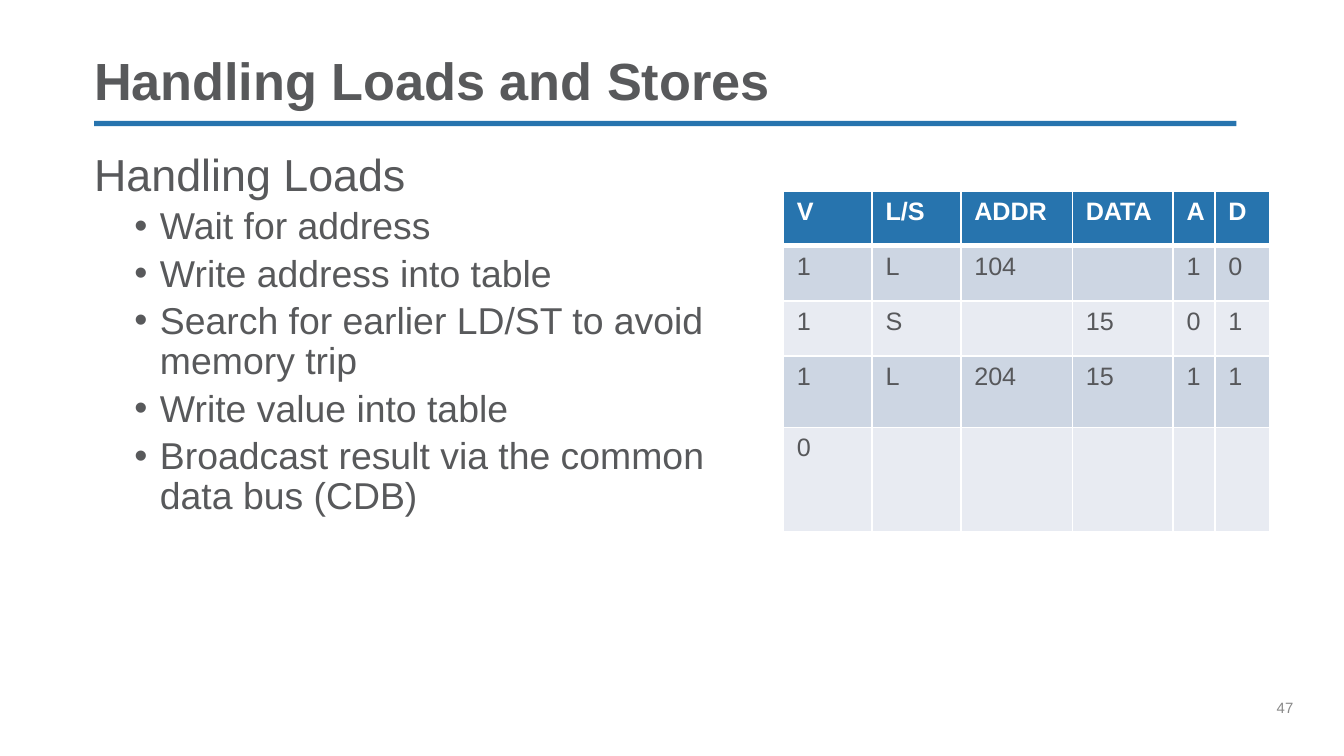
from lxml.etree import SubElement
from pptx import Presentation
from pptx.dml.color import RGBColor
from pptx.enum.shapes import MSO_SHAPE
from pptx.enum.text import MSO_ANCHOR, MSO_AUTO_SIZE, PP_ALIGN
from pptx.oxml.ns import qn
from pptx.util import Inches, Pt

COLORS = {
    "accent": "2774AE", "text": "58595B", "cell_text": "57585B", "number": "898989",
    "white": "FFFFFF", "band_dark": "CDD6E3", "band_light": "E8EBF2",
}


def color(name):
    return RGBColor.from_string(COLORS[name])


def format_text(target, size, color_name, bold=False):
    """Apply one look to the font of a paragraph."""
    looks = {"name": "Arial", "size": Pt(size), "bold": bold}
    for attribute, value in looks.items():
        setattr(target.font, attribute, value)
    target.font.color.rgb = color(color_name)


# Widescreen, 16:9
prs = Presentation()
prs.slide_width = Inches(10)
prs.slide_height = Inches(10) * 9 // 16
slide = prs.slides.add_slide(prs.slide_layouts[1])

# Title rule and page number
rule = slide.shapes.add_shape(
    MSO_SHAPE.RECTANGLE, Inches(0.7), Inches(0.9), Inches(8.5), Inches(0.04))
rule.shadow.inherit = False
rule.fill.solid()
rule.fill.fore_color.rgb = color("accent")
rule.line.fill.background()

page_number = slide.shapes.add_textbox(
    Inches(9.5), Inches(5.2), Inches(0.5), Inches(0.4))
title, body = slide.shapes.title, slide.placeholders[1]
title.left, title.top, title.width, title.height = map(Inches, (0.7, 0.4, 8.5, 0.43))
body.left, body.top, body.width, body.height = map(Inches, (0.7, 1.09, 5.13, 2.8))

frame_format = {
    "margin_left": 0, "margin_top": 0, "margin_right": 0, "margin_bottom": 0,
    "word_wrap": True, "auto_size": MSO_AUTO_SIZE.NONE, "vertical_anchor": MSO_ANCHOR.TOP,
}
for part in (page_number, title, body):
    for attribute, value in frame_format.items():
        setattr(part.text_frame, attribute, value)

page_number.text_frame.text = "47"
format_text(page_number.text_frame.paragraphs[0], 8, "number")

title.text_frame.vertical_anchor = MSO_ANCHOR.BOTTOM
title.text_frame.text = "Handling Loads and Stores"
heading = title.text_frame.paragraphs[0]
heading.alignment = PP_ALIGN.LEFT
heading.line_spacing = 0.9
format_text(heading, 28, "text", bold=True)

# Steps for loads
steps = [
    "Wait for address",
    "Write address into table",
    "Search for earlier LD/ST to avoid memory trip",
    "Write value into table",
    "Broadcast result via the common data bus (CDB)",
]
body.text_frame.text = "Handling Loads"
lead = body.text_frame.paragraphs[0]
lead.space_before = Pt(0)
lead_properties = lead._p.get_or_add_pPr()
lead_properties.set("marL", "0")
lead_properties.set("indent", "0")
SubElement(lead_properties, qn("a:buNone"))
format_text(lead, 24, "text")

for step in steps:
    bullet = body.text_frame.add_paragraph()
    bullet.text = step
    bullet.level = 1
    bullet.line_spacing = 0.9
    bullet.space_before = Pt(3.8)
    properties = bullet._p.get_or_add_pPr()
    properties.set("marL", str(Inches(0.49)))
    properties.set("indent", str(Inches(-0.19)))
    SubElement(properties, qn("a:buFont"), typeface="Arial")
    SubElement(properties, qn("a:buChar"), char="•")
    format_text(bullet, 20, "text")

# Load/store table
entries = [
    ["V", "L/S", "ADDR", "DATA", "A", "D"],
    ["1", "L", "104", "", "1", "0"],
    ["1", "S", "", "15", "0", "1"],
    ["1", "L", "204", "15", "1", "1"],
    ["0", "", "", "", "", ""],
]
column_widths = [0.66, 0.66, 0.83, 0.75, 0.31, 0.41]
row_heights = [0.41, 0.41, 0.41, 0.53, 0.78]
queue = slide.shapes.add_table(
    len(entries), len(column_widths), Inches(5.83), Inches(1.42),
    Inches(sum(column_widths)), Inches(sum(row_heights))).table
for column, width in zip(queue.columns, column_widths):
    column.width = Inches(width)
for row, height in zip(queue.rows, row_heights):
    row.height = Inches(height)

for r, entry in enumerate(entries):
    is_header = r == 0
    band = "accent" if is_header else ("band_dark" if r % 2 else "band_light")
    for c, value in enumerate(entry):
        cell = queue.cell(r, c)
        cell.text = value
        format_text(cell.text_frame.paragraphs[0], 13.5,
                    "white" if is_header else "cell_text", bold=is_header)
        cell_properties = cell._tc.get_or_add_tcPr()
        for side in ("lnL", "lnR", "lnT", "lnB"):
            thick = (is_header and side == "lnB") or (r == 1 and side == "lnT")
            border = SubElement(cell_properties, qn(f"a:{side}"), w=str(Pt(3 if thick else 1)))
            border_fill = SubElement(border, qn("a:solidFill"))
            SubElement(border_fill, qn("a:srgbClr"), val=COLORS["white"])
        cell.fill.solid()
        cell.fill.fore_color.rgb = color(band)

prs.save("out.pptx")
